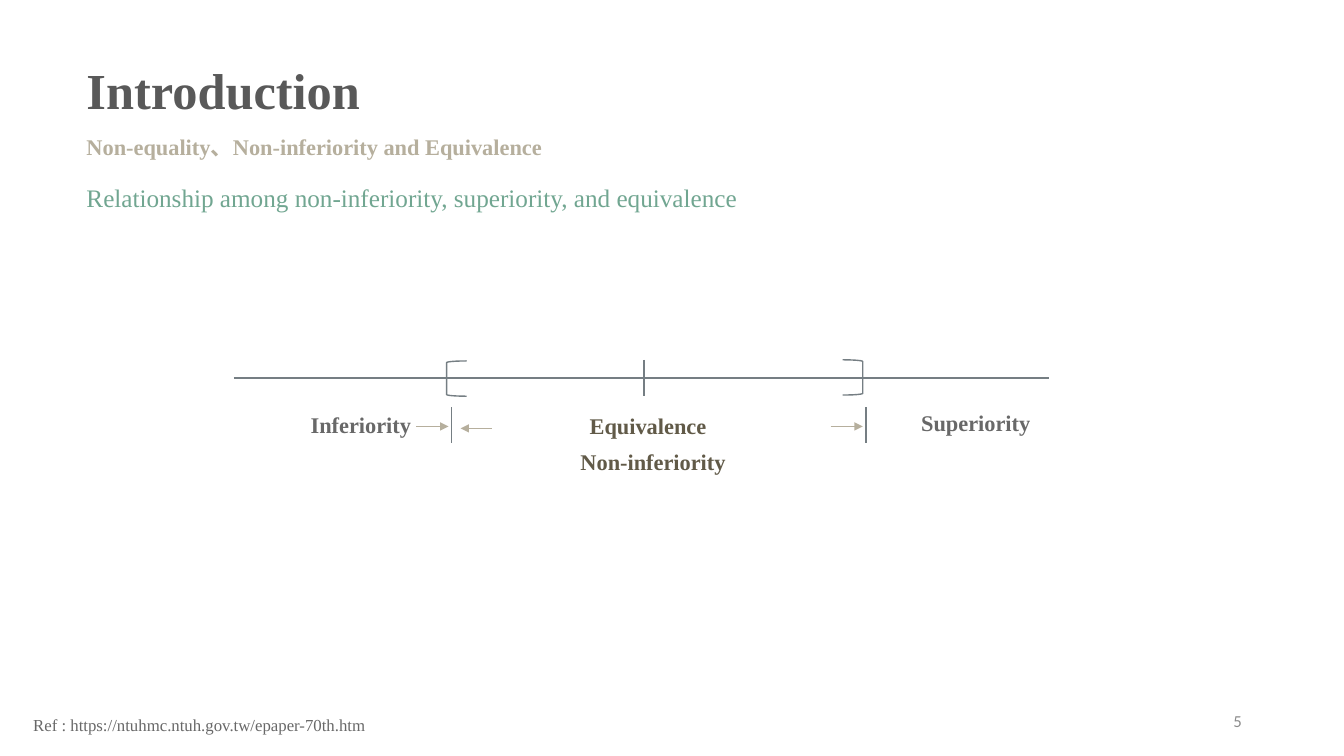
"""Build the slide on non-inferiority, superiority and equivalence."""
from lxml import etree
from pptx import Presentation
from pptx.dml.color import RGBColor
from pptx.enum.shapes import MSO_CONNECTOR, MSO_SHAPE
from pptx.enum.text import MSO_ANCHOR, MSO_AUTO_SIZE, PP_ALIGN
from pptx.oxml.ns import qn
from pptx.util import Pt

LEFT, CENTER, RIGHT = PP_ALIGN.LEFT, PP_ALIGN.CENTER, PP_ALIGN.RIGHT
TOP, MIDDLE = MSO_ANCHOR.TOP, MSO_ANCHOR.MIDDLE
GROW, FIXED = MSO_AUTO_SIZE.SHAPE_TO_FIT_TEXT, MSO_AUTO_SIZE.NONE
STRAIGHT = MSO_CONNECTOR.STRAIGHT
OPEN, CLOSE = MSO_SHAPE.LEFT_BRACKET, MSO_SHAPE.RIGHT_BRACKET

DARK = RGBColor(0x59, 0x59, 0x59)
SAND = RGBColor(0xB6, 0xAF, 0x9D)
GREEN = RGBColor(0x71, 0xA6, 0x91)
SLATE = RGBColor(0x75, 0x7E, 0x83)
GRAY = RGBColor(0x68, 0x68, 0x68)
BROWN = RGBColor(0x61, 0x5A, 0x48)
PALE = RGBColor(0x8C, 0x8C, 0x8C)

SERIF = "Times New Roman"
TITLE = {"name": SERIF, "size": Pt(36), "bold": True}
LABEL = {"name": SERIF, "size": Pt(16), "bold": True}
LEAD = {"name": SERIF, "size": Pt(18)}
NOTE = {"name": SERIF, "size": Pt(12)}
PAGE = {"name": "Calibri", "size": Pt(12)}


def add_text(slide, text, box, style, color, align=LEFT, anchor=TOP, fit=GROW):
    """Add a one-line text box."""
    frame = slide.shapes.add_textbox(*map(Pt, box)).text_frame
    frame.word_wrap = True
    frame.auto_size = fit
    frame.vertical_anchor = anchor
    line = frame.paragraphs[0]
    line.alignment = align
    run = line.add_run()
    run.text = text
    for key, value in style.items():
        setattr(run.font, key, value)
    run.font.color.rgb = color


def add_line(slide, start, end, width=1, color=SLATE, arrow=False):
    """Add a straight line, with an arrowhead at its end if asked."""
    line = slide.shapes.add_connector(STRAIGHT, *map(Pt, start + end))
    line.line.color.rgb = color
    line.line.width = Pt(width)
    if arrow:
        pen = line.line._get_or_add_ln()
        etree.SubElement(pen, qn("a:tailEnd"), type="triangle")
    etree.SubElement(line._element.spPr, qn("a:effectLst"))


def add_brace(slide, kind, left, top):
    """Add a square bracket around the margin."""
    brace = slide.shapes.add_shape(kind, *map(Pt, (left, top, 14.4, 25.2)))
    brace.shadow.inherit = False
    brace.fill.background()
    brace.line.color.rgb = SLATE
    brace.line.width = Pt(1)


def main():
    """Build and save the slide."""
    deck = Presentation()
    deck.slide_width, deck.slide_height = Pt(960), Pt(540)
    slide = deck.slides.add_slide(deck.slide_layouts[6])

    add_text(slide, "Introduction", (54.7, 38.9, 532, 51), TITLE, DARK)
    add_text(slide, "Non-equality、Non-inferiority and Equivalence",
             (54.7, 91.4, 518.4, 24.5), LABEL, SAND)
    add_text(slide, "Relationship among non-inferiority, superiority, and equivalence",
             (54.7, 126.7, 705.6, 28.8), LEAD, GREEN)

    add_line(slide, (167, 270), (749.5, 270), 1.5)
    add_brace(slide, OPEN, 319, 257.8)
    add_brace(slide, CLOSE, 601.9, 257)
    for x, y in ((460.1, 257), (322.6, 290.9), (618.5, 290.9)):
        add_line(slide, (x, y), (x, y + 25.9))
    for start, end, y in ((297.4, 320.4, 304.6), (593.3, 616.3, 304.6),
                          (351.4, 329, 306)):
        add_line(slide, (start, y), (end, y), 0.5, SAND, True)

    for text, left, top, width, color in (
            ("Inferiority", 208.8, 290.2, 97.9, GRAY),
            ("Superiority", 648, 288.7, 97.9, GRAY),
            ("Equivalence", 386.6, 290.9, 152.6, BROWN),
            ("Non-inferiority", 390.2, 316.8, 152.6, BROWN)):
        add_text(slide, text, (left, top, width, 26.6), LABEL, color, CENTER)

    add_text(slide, "Ref : https://ntuhmc.ntuh.gov.tw/epaper-70th.htm",
             (16.6, 506.9, 270, 21.6), NOTE, GRAY)
    add_text(slide, "5", (678.2, 500.4, 216, 28.8), PAGE, PALE, RIGHT, MIDDLE, FIXED)
    deck.save("out.pptx")


if __name__ == "__main__":
    main()
